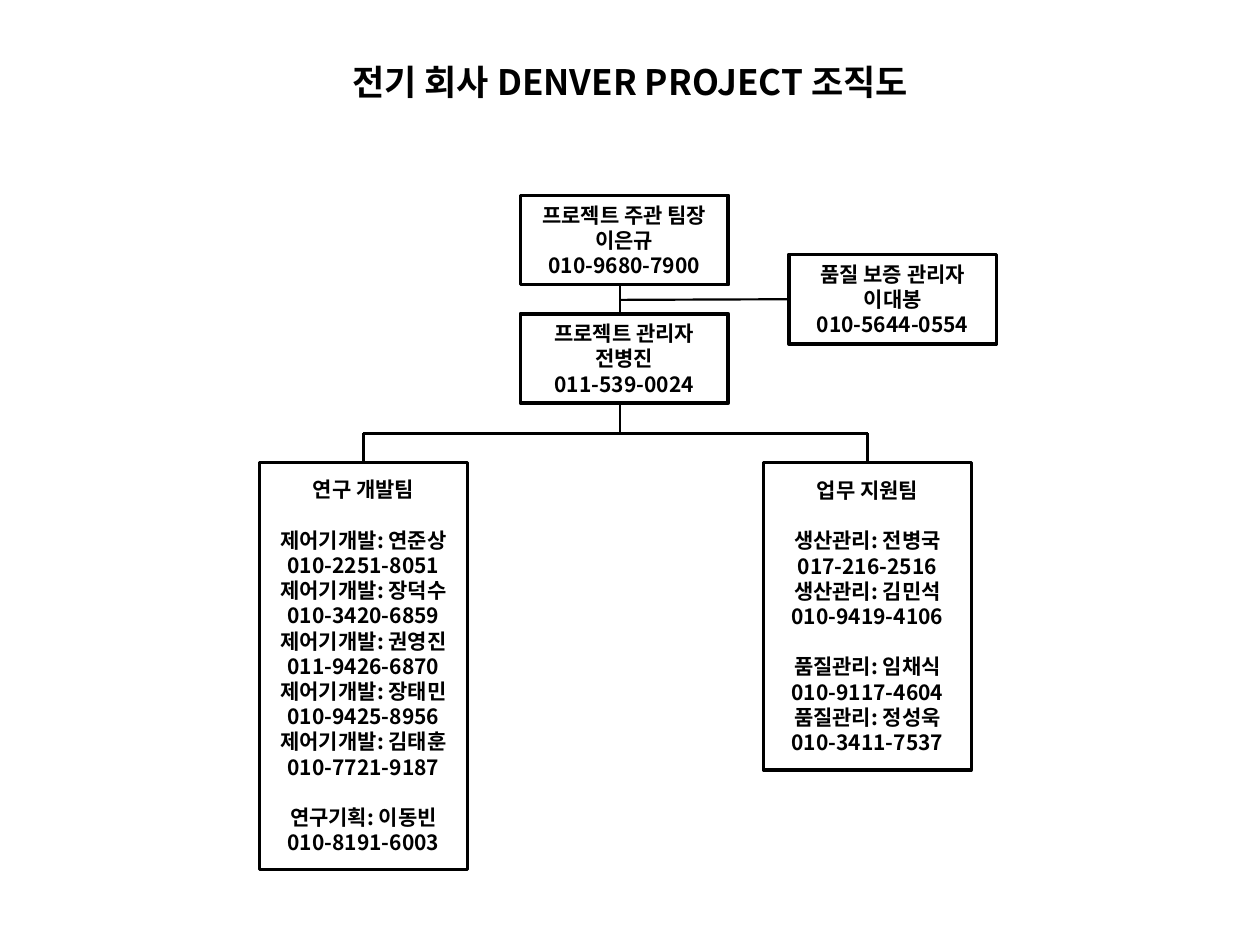
from lxml import etree
from pptx import Presentation
from pptx.dml.color import RGBColor
from pptx.enum.shapes import MSO_CONNECTOR, MSO_SHAPE
from pptx.enum.text import MSO_ANCHOR, PP_ALIGN
from pptx.oxml.ns import qn
from pptx.util import Inches, Pt

RECTANGLE = MSO_SHAPE.RECTANGLE
STRAIGHT = MSO_CONNECTOR.STRAIGHT
MIDDLE = MSO_ANCHOR.MIDDLE
CENTER = PP_ALIGN.CENTER
BLACK = RGBColor(0, 0, 0)
WHITE = RGBColor(255, 255, 255)
FONT = "Noto Sans CJK KR"
LINE_HEIGHT = 1.2
BOX_WIDTH = 1.65
BOX_HEIGHT = 0.71
TEAM_TOP = 3.67
SPINE_X = 4.92
BRANCH_Y = 3.44
QUALITY_Y = 2.38

presentation = Presentation()
presentation.slide_width = Inches(10)
presentation.slide_height = Inches(7.5)
slide = presentation.slides.add_slide(presentation.slide_layouts[6])


def add_box(left, top, width, height, groups, size=12, line_color=BLACK):
    shape = slide.shapes.add_shape(
        RECTANGLE, Inches(left), Inches(top), Inches(width), Inches(height))
    shape.shadow.inherit = False
    shape.fill.solid()
    shape.fill.fore_color.rgb = WHITE
    shape.line.color.rgb = line_color
    shape.line.width = Pt(2)
    frame = shape.text_frame
    frame.word_wrap = True
    frame.vertical_anchor = MIDDLE
    paragraph = frame.paragraphs[0]
    for group_index, group in enumerate(groups):
        for line_index, text in enumerate(group):
            if group_index or line_index:
                paragraph = frame.add_paragraph()
            if group_index and line_index == 0:
                paragraph.space_before = Pt(size * LINE_HEIGHT)
            paragraph.text = text
            paragraph.alignment = CENTER
            paragraph.line_spacing = Pt(size * LINE_HEIGHT)
            paragraph.font.name = FONT
            paragraph.font.size = Pt(size)
            paragraph.font.bold = True
            paragraph.font.color.rgb = BLACK
            for run in paragraph.runs:
                east_asian = etree.SubElement(run.font._element, qn("a:ea"))
                east_asian.set("typeface", FONT)
    return shape


def add_line(start_x, start_y, end_x, end_y):
    connector = slide.shapes.add_connector(
        STRAIGHT, Inches(start_x), Inches(start_y), Inches(end_x), Inches(end_y))
    connector.line.color.rgb = BLACK
    connector.line.width = Pt(1.25)
    etree.SubElement(connector._element.spPr, qn("a:effectLst"))
    return connector


add_box(0, 0.29, 10, 0.71, [["전기 회사 DENVER PROJECT 조직도"]], 20, WHITE)

managers = [
    (4.13, 1.55, ["프로젝트 주관 팀장", "이은규", "010-9680-7900"]),
    (4.13, 2.49, ["프로젝트 관리자", "전병진", "011-539-0024"]),
    (6.26, 2.02, ["품질 보증 관리자", "이대봉", "010-5644-0554"]),
]
for left, top, lines in managers:
    manager_box = add_box(left, top, BOX_WIDTH, BOX_HEIGHT, [lines])
quality_box = manager_box

teams = [
    (6.06, 2.44, [
        ["업무 지원팀"],
        ["생산관리: 전병국", "017-216-2516", "생산관리: 김민석", "010-9419-4106"],
        ["품질관리: 임채식", "010-9117-4604", "품질관리: 정성욱", "010-3411-7537"],
    ]),
    (2.06, 3.23, [
        ["연구 개발팀"],
        ["제어기개발: 연준상", "010-2251-8051", "제어기개발: 장덕수", "010-3420-6859",
         "제어기개발: 권영진", "011-9426-6870", "제어기개발: 장태민", "010-9425-8956",
         "제어기개발: 김태훈", "010-7721-9187"],
        ["연구기획: 이동빈", "010-8191-6003"],
    ]),
]
for left, height, groups in teams:
    team_box = add_box(left, TEAM_TOP, BOX_WIDTH, height, groups)
    center_x = left + BOX_WIDTH / 2
    add_line(center_x, BRANCH_Y, center_x, TEAM_TOP).end_connect(team_box, 0)

add_line(SPINE_X, 2.26, SPINE_X, 2.49)
add_line(SPINE_X, 3.2, SPINE_X, BRANCH_Y)
add_line(2.88, BRANCH_Y, 6.89, BRANCH_Y)
add_line(SPINE_X, QUALITY_Y, 6.26, QUALITY_Y).end_connect(quality_box, 1)

presentation.save("out.pptx")
